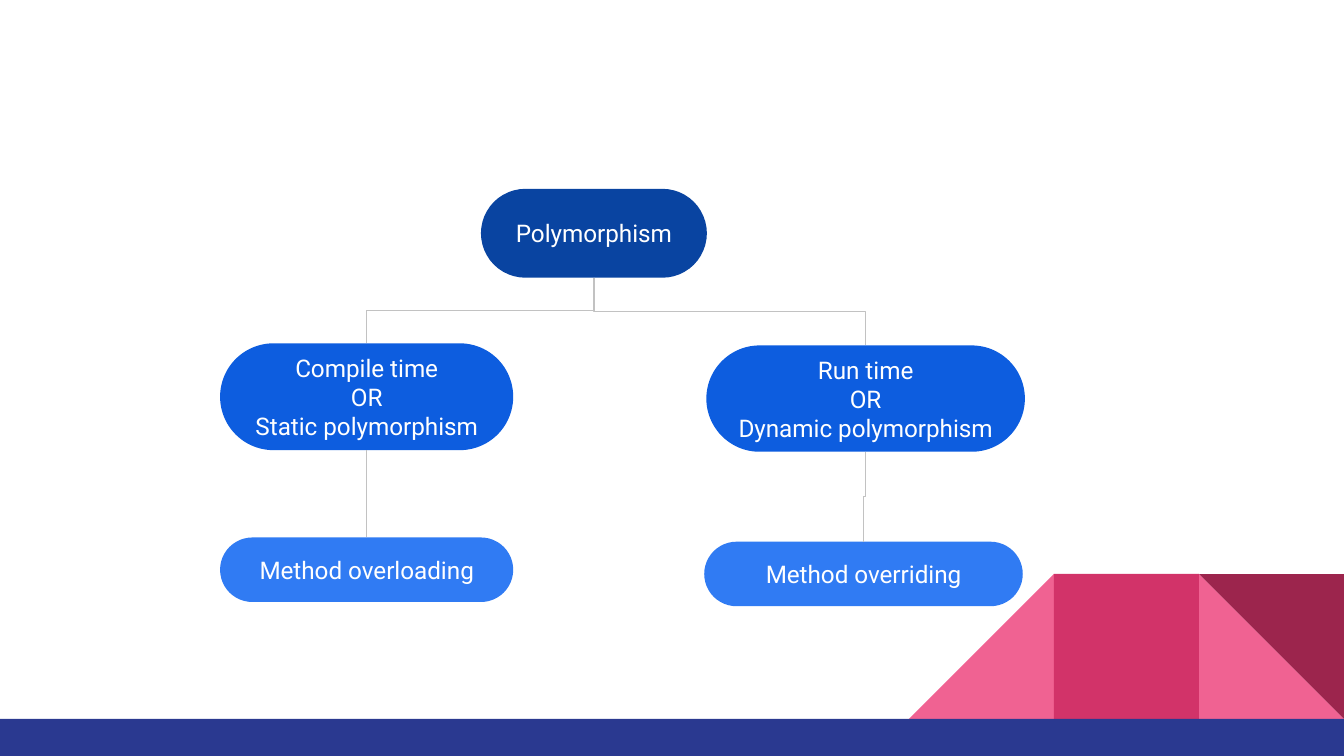
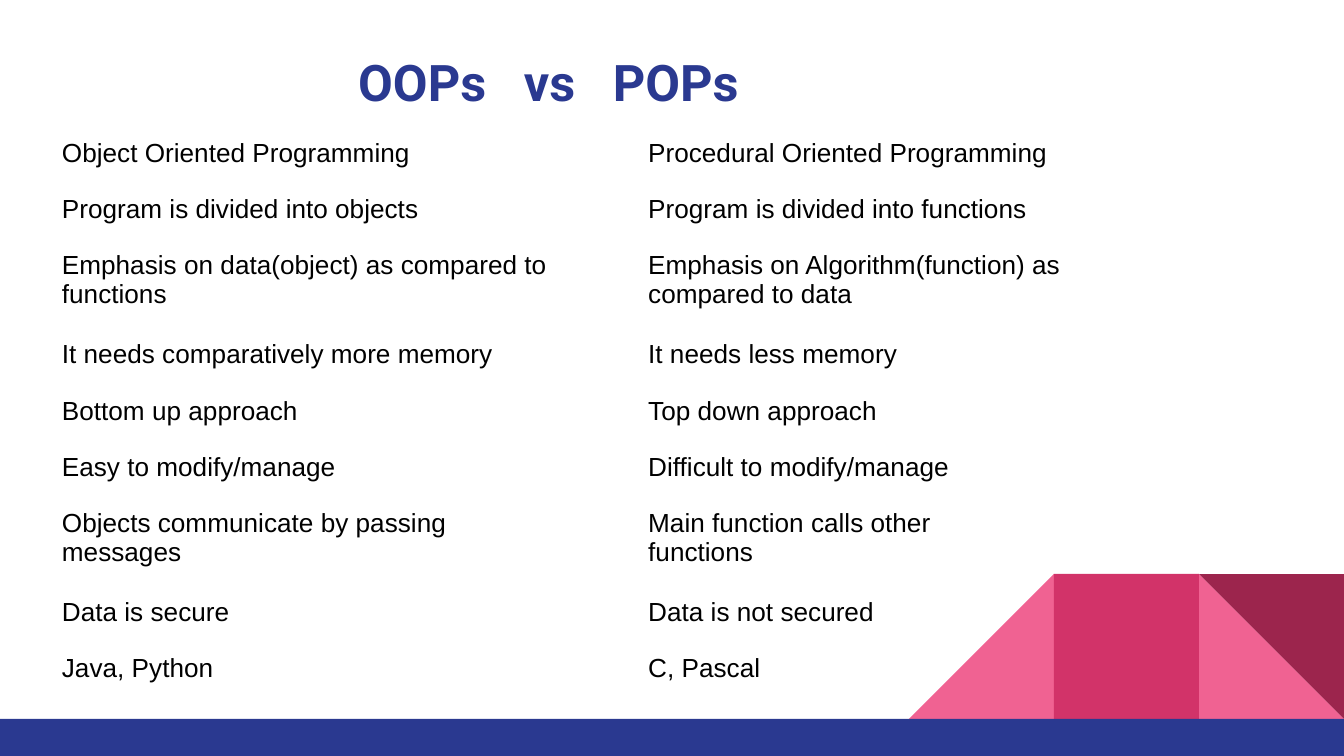
from pptx import Presentation
from pptx.dml.color import RGBColor
from pptx.enum.shapes import MSO_CONNECTOR as CONN, MSO_SHAPE as SHAPE
from pptx.enum.text import MSO_ANCHOR as ANCHOR, PP_ALIGN as ALIGN
from pptx.oxml.ns import qn
from pptx.util import Cm, Pt
from lxml.etree import SubElement

COLORS = {
    "navy": "2A3990", "pink": "F06292", "rose": "D23369", "wine": "9C254D",
    "root": "0944A1", "branch": "0D5DDF", "leaf": "307BF3",
    "line": "C2C2C2", "white": "FFFFFF", "black": "000000",
}
SLIDE_W, SLIDE_H = 25.4, 14.29
BAND_H = 0.7
TILE = 2.74
INSET = Cm(0.25)

# Comparison rows: left text, right text, lines of text in the row
COMPARISON = [
    ("Object Oriented Programming", "Procedural Oriented Programming", 1),
    ("Program is divided into objects", "Program is divided into functions", 1),
    ("Emphasis on data(object) as compared to functions",
     "Emphasis on Algorithm(function) as compared to data", 2),
    ("It needs comparatively more memory", "It needs less memory", 1),
    ("Bottom up approach", "Top down approach", 1),
    ("Easy to modify/manage", "Difficult to modify/manage", 1),
    ("Objects communicate by passing messages",
     "Main function calls other\nfunctions", 2),
    ("Data is secure", "Data is not secured", 1),
    ("Java, Python", "C, Pascal", 1),
]
COL_WIDTHS = (10.01, 1.07, 9.75)
ROW_PITCH = {1: 1.06, 2: 1.69}
FRAME = Cm(8.33)


def rgb(name):
    return RGBColor.from_string(COLORS[name])


def add_run(p, text, size, font, color, bold=False):
    r = p.add_run()
    r.text = text
    r.font.size, r.font.name, r.font.bold = Pt(size), font, bold
    r.font.color.rgb = rgb(color)
    return r


def add_lines(tf, text, size, font, color, align=ALIGN.LEFT):
    for i, line in enumerate(text.split("\n")):
        p = tf.add_paragraph() if i else tf.paragraphs[0]
        p.alignment = align
        add_run(p, line, size, font, color)


def set_insets(box):
    box.margin_left = box.margin_right = INSET
    box.margin_top = box.margin_bottom = INSET


def add_block(slide, kind, x, y, w, h, color):
    sp = slide.shapes.add_shape(kind, Cm(x), Cm(y), Cm(w), Cm(h))
    sp.shadow.inherit = False
    sp.fill.solid()
    sp.fill.fore_color.rgb = rgb(color)
    sp.line.fill.background()
    return sp


def add_slide(prs):
    """Blank slide with the corner tiles and the bottom band."""
    slide = prs.slides.add_slide(prs.slide_layouts[6])
    band_top = SLIDE_H - BAND_H
    top = band_top - TILE
    x1, x2, x3 = (SLIDE_W - n * TILE for n in (3, 2, 1))
    add_block(slide, SHAPE.RIGHT_TRIANGLE, x3, top, TILE, TILE, "pink")
    left = add_block(slide, SHAPE.RIGHT_TRIANGLE, x1, top, TILE, TILE, "pink")
    left._element.spPr.find(qn("a:xfrm")).set("flipH", "1")
    add_block(slide, SHAPE.RECTANGLE, x2, top, TILE, TILE, "rose")
    add_block(slide, SHAPE.RIGHT_TRIANGLE, x3, top, TILE, TILE, "wine").rotation = 180
    add_block(slide, SHAPE.RECTANGLE, 0, band_top, SLIDE_W, BAND_H, "navy")
    return slide


def add_node(slide, text, x, y, w, h, color):
    sp = add_block(slide, SHAPE.ROUNDED_RECTANGLE, x, y, w, h, color)
    sp.adjustments[0] = 0.5
    tf = sp.text_frame
    tf.word_wrap = True
    tf.vertical_anchor = ANCHOR.MIDDLE
    set_insets(tf)
    add_lines(tf, text, 13, "Roboto", "white", ALIGN.CENTER)
    return sp


def add_branch(slide, parent, child):
    """Elbow from the bottom of parent to the top of child, leaving vertically."""
    x1, y1 = parent.left + parent.width // 2, parent.top + parent.height
    x2, y2 = child.left + child.width // 2, child.top
    c = slide.shapes.add_connector(CONN.ELBOW, x1, y1, x2, y2)
    c.begin_connect(parent, 2)
    c.end_connect(child, 0)
    c.line.color.rgb = rgb("line")
    c.line.width = Pt(0.75)
    # A quarter turn makes the outer legs vertical
    c.width, c.height = y2 - y1, abs(x2 - x1)
    c.left = (x1 + x2 - c.width) // 2
    c.top = (y1 + y2 - c.height) // 2
    to_right = x2 > x1
    xfrm = c._element.spPr.find(qn("a:xfrm"))
    xfrm.set("rot", str((270 if to_right else 90) * 60000))
    xfrm.set("flipH", "1" if to_right else "0")
    xfrm.set("flipV", "0")
    SubElement(c._element.spPr, qn("a:effectLst"))


def add_title(slide, words):
    box = slide.shapes.add_textbox(Cm(-1.47), Cm(0.71), Cm(23.67), Cm(1.68))
    tf = box.text_frame
    tf.word_wrap = True
    set_insets(tf)
    p = tf.paragraphs[0]
    p.alignment = ALIGN.CENTER
    for i, word in enumerate(words):
        if i:  # one widened space between words
            gap = add_run(p, " ", 27, "Roboto", "navy", True)
            gap.font._element.set("spc", "1340")
        add_run(p, word, 27, "Roboto", "navy", True)


def clear_cell(cell):
    """No borders and no fill; the borders come first in the cell properties."""
    tc_pr = cell._tc.get_or_add_tcPr()
    for side in ("a:lnL", "a:lnR", "a:lnT", "a:lnB"):
        SubElement(SubElement(tc_pr, qn(side)), qn("a:noFill"))
    cell.fill.background()


def add_row(slide, left_text, right_text, y, height):
    frame = slide.shapes.add_table(1, 3, Cm(0.92), Cm(y), FRAME, Cm(height))
    table = frame.table
    table.first_row = table.horz_banding = False
    for col, width in zip(table.columns, COL_WIDTHS):
        col.width = Cm(width)
    for cell, text in zip(table.rows[0].cells, (left_text, "", right_text)):
        clear_cell(cell)
        set_insets(cell)
        if text:
            add_lines(cell.text_frame, text, 14, "Arial", "black")
        else:
            cell.margin_top = cell.margin_bottom = 0
    # The frame keeps one nominal size; columns and row set the real one
    frame.width = frame.height = FRAME


def build_polymorphism(prs):
    slide = add_slide(prs)
    root = add_node(slide, "Polymorphism", 9.09, 3.57, 4.27, 1.68, "root")
    run_time = add_node(slide, "Run time\nOR\nDynamic polymorphism",
                        13.35, 6.53, 6.02, 2.01, "branch")
    compile_time = add_node(slide, "Compile time\nOR\nStatic polymorphism",
                            4.16, 6.49, 5.54, 2.02, "branch")
    overloading = add_node(slide, "Method overloading", 4.16, 10.16, 5.54, 1.22, "leaf")
    overriding = add_node(slide, "Method overriding", 13.31, 10.24, 6.02, 1.22, "leaf")
    for parent, child in ((root, run_time), (root, compile_time),
                          (compile_time, overloading), (run_time, overriding)):
        add_branch(slide, parent, child)


def build_comparison(prs):
    slide = add_slide(prs)
    add_title(slide, ("OOPs", "vs", "POPs"))
    y = 2.37
    for left_text, right_text, lines in COMPARISON:
        add_row(slide, left_text, right_text, y, ROW_PITCH[lines] + 0.02)
        y += ROW_PITCH[lines]


def main():
    prs = Presentation()
    prs.slide_width, prs.slide_height = Cm(SLIDE_W), Cm(SLIDE_H)
    build_polymorphism(prs)
    build_comparison(prs)
    prs.save("out.pptx")


if __name__ == "__main__":
    main()
